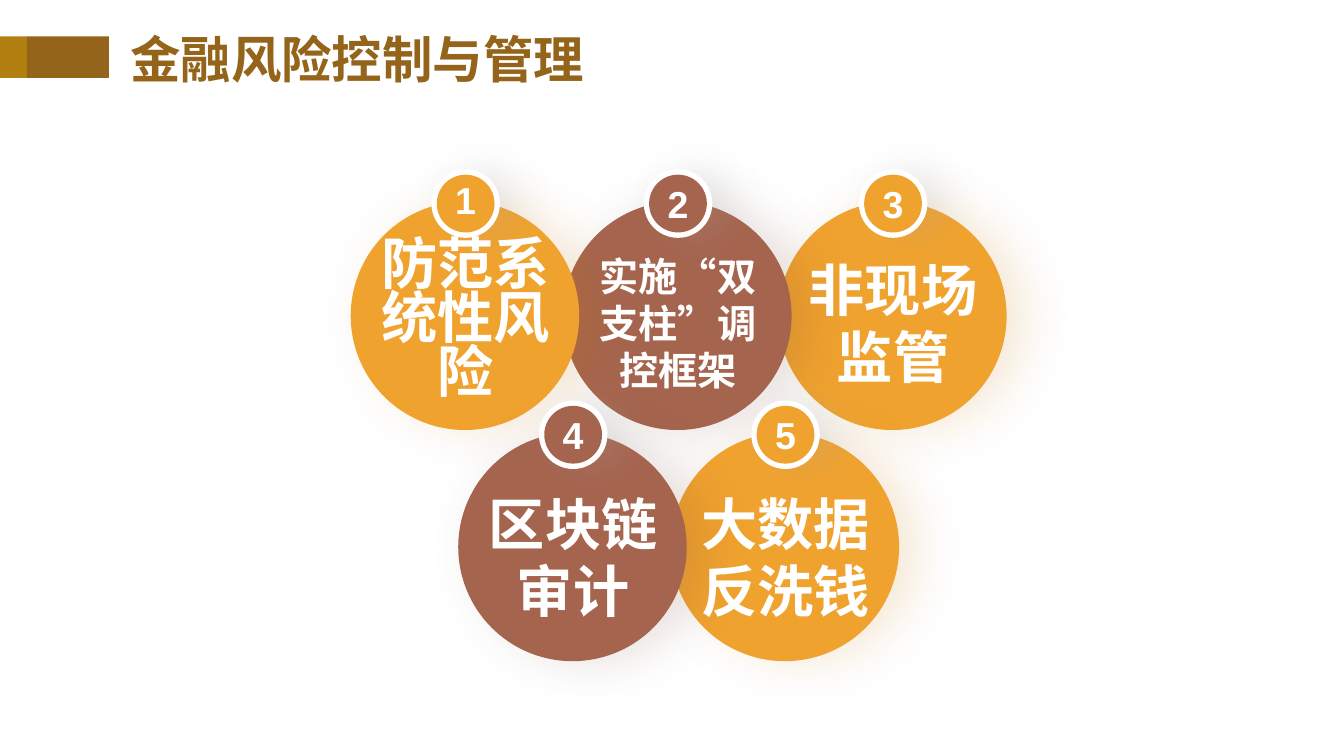
"""Build the slide on financial risk control: five numbered, overlapping circles."""
from lxml.etree import SubElement
from pptx import Presentation
from pptx.dml.color import RGBColor
from pptx.enum.shapes import MSO_SHAPE as Preset
from pptx.enum.text import MSO_ANCHOR as Anchor, MSO_AUTO_SIZE as AutoSize, PP_ALIGN as Align
from pptx.oxml.ns import qn
from pptx.util import Inches, Pt

WHITE, BROWN = "FFFFFF", "936419"
ORANGE, RUST = "F0A22E", "A5644E"
CIRCLE_SHADOWS = {ORANGE: ("C87D0E", 16, 26), RUST: ("7C4B3B", 16, 26)}
RING_SHADOW = ("A6A6A6", 20, 20)
ROWS = [
    (1.5, 1.71, [
        (5.79, "3", "非现场监管", 30.1, 1, ORANGE),
        (4.19, "2", "实施“双支柱”调控框架", 21, 1, RUST),
        (2.61, "1", "防范系统性风险", 30.1, 0.8, ORANGE),
    ]),
    (3.22, 3.45, [
        (4.99, "5", "大数据反洗钱", 30.1, 1, ORANGE),
        (3.41, "4", "区块链审计", 30.1, 1, RUST),
    ]),
]


def add_filled(preset, left, top, width, height, color, shadow=None):
    shape = slide.shapes.add_shape(
        preset, Inches(left), Inches(top), Inches(width), Inches(height))
    shape.fill.solid()
    shape.fill.fore_color.rgb = RGBColor.from_string(color)
    shape.line.fill.background()
    shape.shadow.inherit = False
    if shadow:
        shadow_color, opacity, blur = shadow
        effects = shape._element.spPr.find(qn("a:effectLst"))
        outer = SubElement(effects, qn("a:outerShdw"), blurRad=str(Pt(blur)),
                           dist=str(Pt(10)), dir="0", algn="ctr", rotWithShape="0")
        tint = SubElement(outer, qn("a:srgbClr"), val=shadow_color)
        SubElement(tint, qn("a:alpha"), val=str(opacity * 1000))
    return shape


def write(shape, text, size, color, font_name, align, spacing=1, anchor=Anchor.MIDDLE):
    frame = shape.text_frame
    frame.text = text
    frame.vertical_anchor = anchor
    paragraph = frame.paragraphs[0]
    paragraph.alignment = align
    paragraph.line_spacing = spacing
    font = paragraph.font
    font.size = Pt(size)
    font.bold = True
    font.color.rgb = RGBColor.from_string(color)
    font.name = font_name
    SubElement(paragraph._p.pPr.find(qn("a:defRPr")), qn("a:ea"),
               typeface="Noto Sans CJK SC")
    return frame


presentation = Presentation()
presentation.slide_width = Inches(10)
presentation.slide_height = Inches(5.625)
slide = presentation.slides.add_slide(presentation.slide_layouts[5])

add_filled(Preset.RECTANGLE, -0.01, 0.27, 0.21, 0.31, "B28011")
add_filled(Preset.RECTANGLE, 0.2, 0.27, 0.61, 0.31, BROWN)

title = slide.shapes.title
title.left, title.top = Inches(0.9), Inches(0.17)
title.width, title.height = Inches(3.52), Inches(0.53)
title_frame = write(title, "金融风险控制与管理", 27, BROWN, "Noto Sans CJK SC",
                    Align.LEFT, anchor=Anchor.TOP)
title_frame.word_wrap = False
title_frame.auto_size = AutoSize.SHAPE_TO_FIT_TEXT
title_frame.margin_left = title_frame.margin_right = Inches(0.07)
title_frame.margin_top = title_frame.margin_bottom = Inches(0.04)

for circle_top, label_top, items in ROWS:
    for left, number, label, size, spacing, color in items:
        add_filled(Preset.OVAL, left, circle_top, 1.7, 1.7, color, CIRCLE_SHADOWS[color])
        add_filled(Preset.OVAL, left + 0.6, circle_top - 0.24, 0.51, 0.51, WHITE, RING_SHADOW)
        badge = add_filled(Preset.OVAL, left + 0.64, circle_top - 0.2, 0.43, 0.43, color)
        badge_frame = write(badge, number, 20.1, WHITE, "Arial", Align.CENTER, spacing)
        badge_frame.margin_left = badge_frame.margin_right = 0
        badge_frame.margin_top = badge_frame.margin_bottom = 0
    for left, number, label, size, spacing, color in items:
        box = slide.shapes.add_textbox(Inches(left + 0.09), Inches(label_top),
                                       Inches(1.53), Inches(1.38))
        box.text_frame.word_wrap = True
        write(box, label, size, WHITE, "Arial", Align.CENTER, spacing)

presentation.save("out.pptx")
